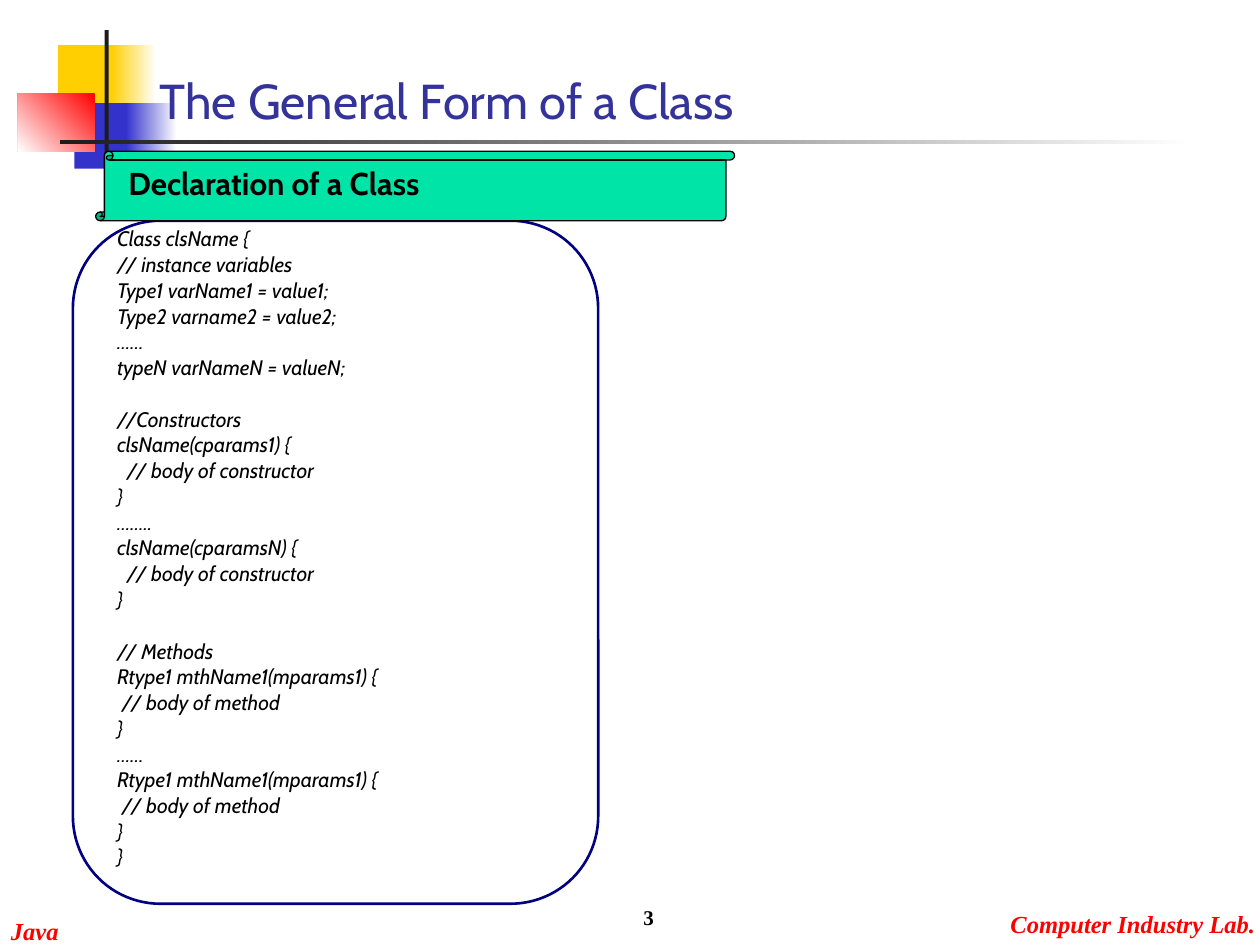
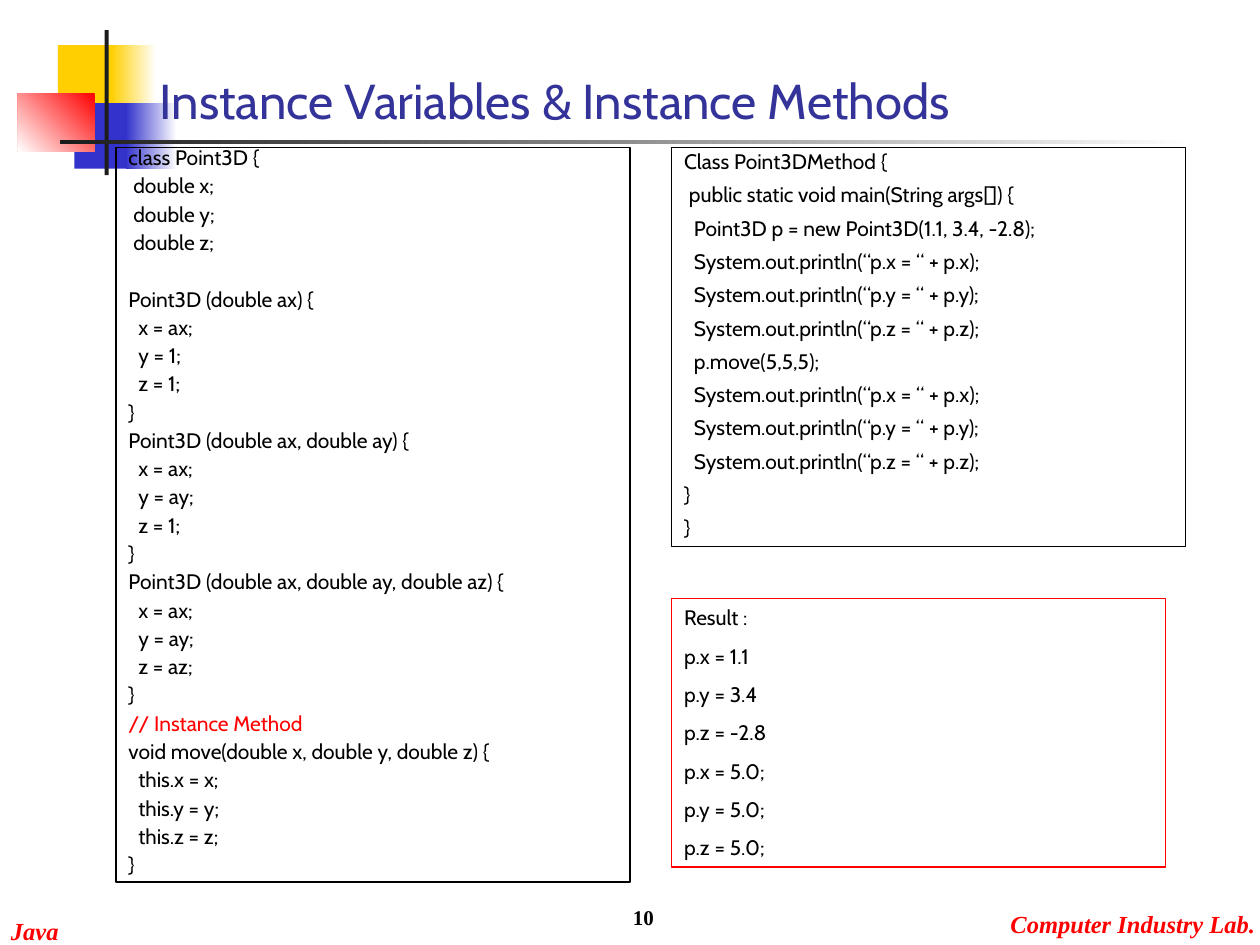
from pptx import Presentation
from pptx.dml.color import RGBColor
from pptx.enum.shapes import MSO_SHAPE as Preset
from pptx.enum.text import MSO_ANCHOR as Anchor, PP_ALIGN as Align
from pptx.util import Cm, Pt

WHITE = RGBColor(0xFF, 0xFF, 0xFF)
BLACK = RGBColor(0x00, 0x00, 0x00)
RED = RGBColor(0xFF, 0x00, 0x00)
YELLOW = RGBColor(0xFF, 0xCF, 0x01)
BLUE = RGBColor(0x33, 0x33, 0xCC)
CHARCOAL = RGBColor(0x1C, 0x1C, 0x1C)
TITLE_BLUE = RGBColor(0x33, 0x33, 0x99)
NAVY = RGBColor(0x00, 0x00, 0x80)
GREEN = RGBColor(0x00, 0xE4, 0xA8)

BODY_FONT = "Cabin"
FOOTER_FONT = "Times New Roman"
CODE_SIZE = 12
CODE_SPACE = 7.5
LINE_HEIGHT = 1.215
SPACE_WIDTH = 0.1

PRINT_LINES = "\n".join(
    f"  System.out.println(“p.{axis} = “ + p.{axis});" for axis in "xyz"
)

CLASS_FORM = """Class clsName {
// instance variables
Type1 varName1 = value1;
Type2 varname2 = value2;
……
typeN varNameN = valueN;

//Constructors
clsName(cparams1) {
  // body of constructor
}
……..
clsName(cparamsN) {
  // body of constructor
}

// Methods
Rtype1 mthName1(mparams1) {
 // body of method
}
……
Rtype1 mthName1(mparams1) {
 // body of method
}
}"""

POINT_CLASS = """class Point3D {
 double x;
 double y;
 double z;

Point3D (double ax) {
  x = ax;
  y = 1;
  z = 1;
}
Point3D (double ax, double ay) {
  x = ax;
  y = ay;
  z = 1;
}
Point3D (double ax, double ay, double az) {
  x = ax;
  y = ay;
  z = az;
}
// Instance Method
void move(double x, double y, double z) {
  this.x = x;
  this.y = y;
  this.z = z;
}"""

MAIN_CLASS = f"""Class Point3DMethod {{
 public static void main(String args[]) {{
  Point3D p = new Point3D(1.1, 3.4, -2.8);
{PRINT_LINES}
  p.move(5,5,5);
{PRINT_LINES}
}}
}}"""

RESULT = """Result :
p.x = 1.1
p.y = 3.4
p.z = -2.8
p.x = 5.0;
p.y = 5.0;
p.z = 5.0;"""


def add_preset(slide, preset, box, fill=None, line=None, width=0.74):
    shape = slide.shapes.add_shape(preset, *map(Cm, box))
    shape.shadow.inherit = False
    if fill is None:
        shape.fill.background()
    else:
        shape.fill.solid()
        shape.fill.fore_color.rgb = fill
    if line is None:
        shape.line.fill.background()
    else:
        shape.line.color.rgb = line
        shape.line.width = Pt(width)
    return shape


def add_fade(slide, box, start, end, angle):
    shape = add_preset(slide, Preset.RECTANGLE, box)
    shape.fill.gradient()
    shape.fill.gradient_angle = angle
    for stop, color in zip(shape.fill.gradient_stops, (start, end)):
        stop.color.rgb = color


def add_run(paragraph, text, size, color, font=BODY_FONT, bold=False, italic=False):
    run = paragraph.add_run()
    run.text = text
    run.font.name = font
    run.font.size = Pt(size)
    run.font.bold = bold
    run.font.italic = italic
    run.font.color.rgb = color


def add_label(slide, box, text, size, color, anchor=Anchor.TOP, align=Align.LEFT,
              wrap=True, space_before=0, **style):
    frame = slide.shapes.add_textbox(*map(Cm, box)).text_frame
    frame.word_wrap = wrap
    frame.vertical_anchor = anchor
    paragraph = frame.paragraphs[0]
    paragraph.alignment = align
    paragraph.space_before = Pt(space_before)
    add_run(paragraph, text, size, color, **style)


def write_code(shape, code, spacing=1.0, comment_color=BLACK, italic=False):
    frame = shape.text_frame
    frame.word_wrap = True
    frame.vertical_anchor = Anchor.TOP
    blank_line = CODE_SPACE + spacing * CODE_SIZE * LINE_HEIGHT
    paragraph = frame.paragraphs[0]
    gap = 0
    for number, line in enumerate(code.split("\n")):
        text = line.lstrip()
        if not text:
            gap = blank_line
            continue
        if number:
            paragraph = frame.add_paragraph()
        paragraph.alignment = Align.LEFT
        paragraph.line_spacing = spacing
        paragraph.space_before = Pt(CODE_SPACE + gap)
        indent = Cm(SPACE_WIDTH * (len(line) - len(text)))
        if indent:
            paragraph._p.get_or_add_pPr().set("marL", str(indent))
        color = comment_color if text.startswith("//") else BLACK
        add_run(paragraph, text, CODE_SIZE, color, italic=italic)
        gap = 0


def add_code_box(slide, box, code, line=BLACK, **style):
    shape = add_preset(slide, Preset.RECTANGLE, box, line=line)
    write_code(shape, code, **style)


def add_base_slide(presentation, title, title_width):
    slide = presentation.slides.add_slide(presentation.slide_layouts[6])
    add_preset(slide, Preset.RECTANGLE, (1.17, 0.91, 1.22, 1.32), YELLOW)
    add_fade(slide, (2.24, 0.91, 0.91, 1.32), WHITE, YELLOW, 180)
    add_preset(slide, Preset.RECTANGLE, (1.5, 2.08, 1.17, 1.32), BLUE)
    add_fade(slide, (2.54, 2.08, 1.02, 1.32), WHITE, BLUE, 180)
    add_fade(slide, (0.36, 1.88, 1.55, 1.17), RED, WHITE, 225)
    add_preset(slide, Preset.RECTANGLE, (2.11, 0.61, 0.08, 2.92), CHARCOAL)
    add_fade(slide, (1.22, 2.82, 22.86, 0.08), WHITE, CHARCOAL, 180)
    footer = dict(size=14, color=RED, font=FOOTER_FONT, bold=True, italic=True, wrap=False)
    add_label(slide, (-0.03, 18.34, 1.47, 0.86), "Java", **footer)
    add_label(slide, (20.12, 18.21, 5.44, 0.86), "Computer Industry Lab.", **footer)
    add_label(slide, (2.97, 1.27, title_width, 1.47), title, 28, TITLE_BLUE,
              anchor=Anchor.BOTTOM)
    return slide


def add_page_number(slide, number):
    add_label(slide, (8.15, 17.6, 5.28, 1.27), str(number), 12, BLACK,
              anchor=Anchor.BOTTOM, align=Align.RIGHT, font=FOOTER_FONT, bold=True)


def build_class_form(presentation):
    slide = add_base_slide(presentation, "The General Form of a Class", 14.4)
    add_preset(slide, Preset.ROUNDED_RECTANGLE, (1.47, 4.45, 10.59, 13.77),
               line=NAVY, width=1.5)
    code_box = slide.shapes.add_textbox(*map(Cm, (2.11, 4.65, 10.59, 12.98)))
    write_code(code_box, CLASS_FORM, spacing=0.5, italic=True)
    add_preset(slide, Preset.VERTICAL_SCROLL, (1.93, 3.05, 12.88, 1.4), GREEN, BLACK)
    add_label(slide, (2.34, 3.18, 12.4, 1.02), "Declaration of a Class", 18, BLACK,
              space_before=11.2, bold=True)
    add_page_number(slide, 3)


def build_instance_members(presentation):
    slide = add_base_slide(presentation, "Instance Variables & Instance Methods", 18.21)
    add_code_box(slide, (2.34, 2.97, 10.36, 14.81), POINT_CLASS,
                 spacing=0.6, comment_color=RED)
    add_code_box(slide, (13.54, 12.07, 9.96, 5.41), RESULT, line=RED)
    add_code_box(slide, (13.54, 2.97, 10.36, 8.05), MAIN_CLASS, spacing=0.8)
    add_page_number(slide, 10)


def main():
    presentation = Presentation()
    presentation.slide_width = Cm(25.4)
    presentation.slide_height = Cm(19.05)
    build_class_form(presentation)
    build_instance_members(presentation)
    presentation.save("out.pptx")


main()
